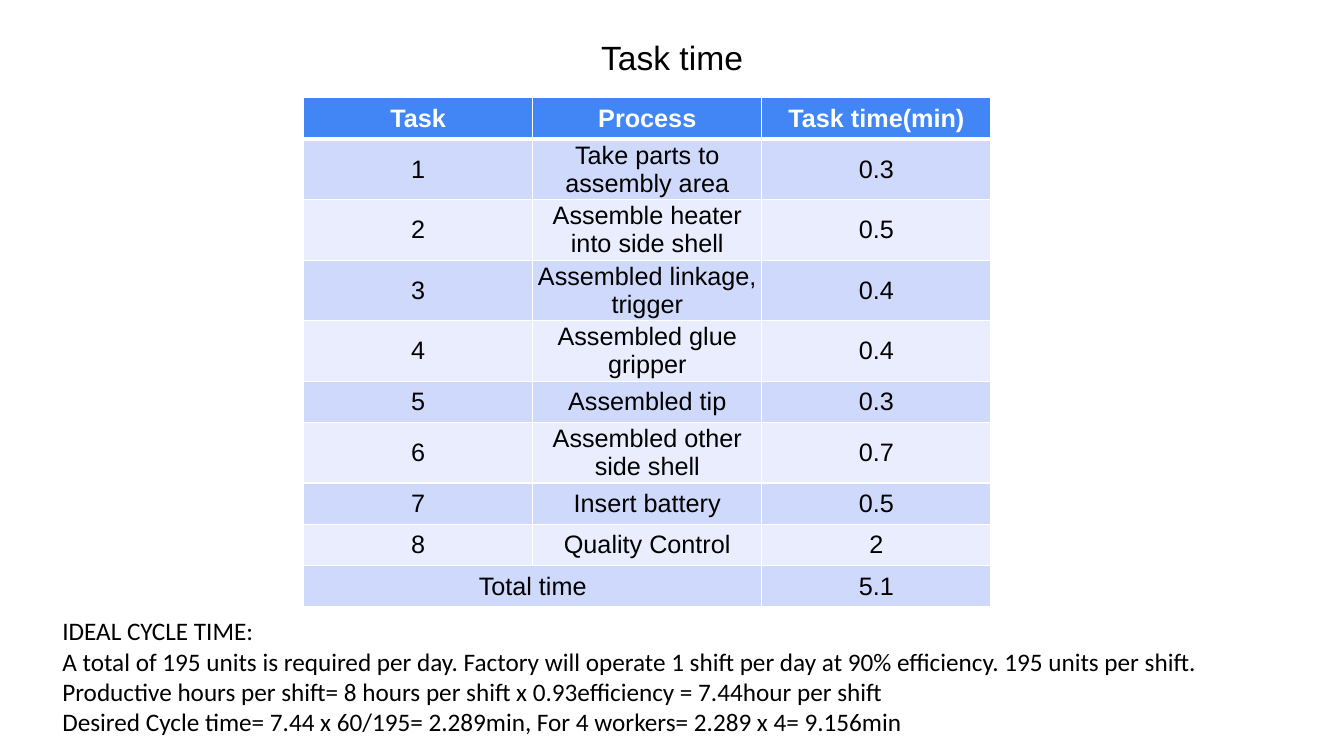
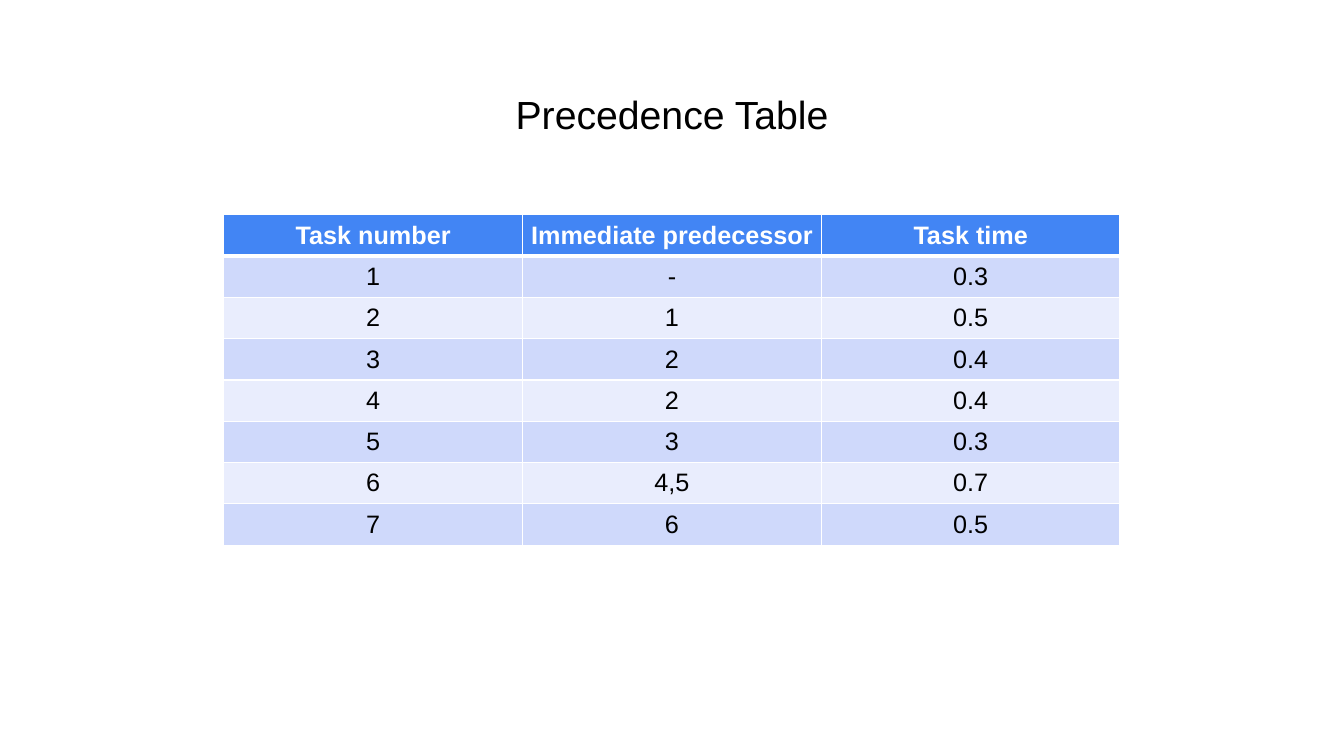
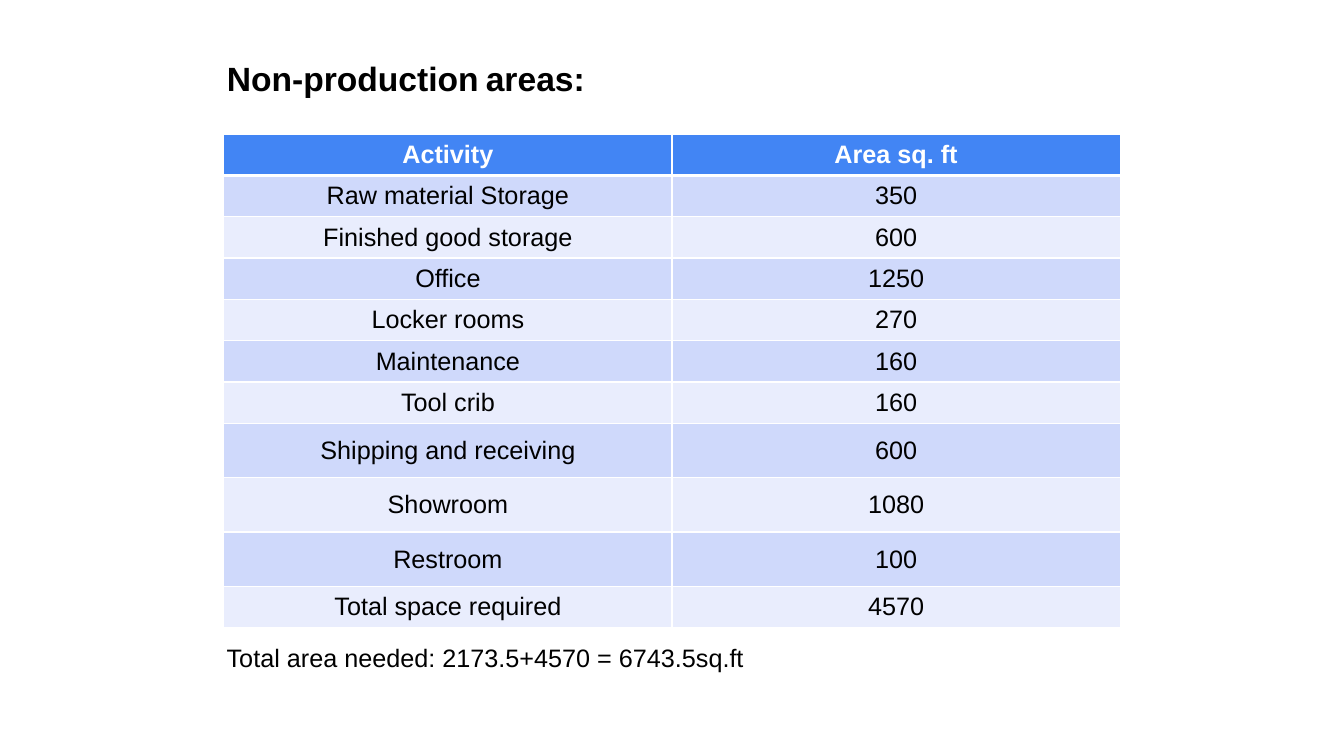
from dataclasses import dataclass

from lxml import etree
from pptx import Presentation
from pptx import dml, oxml, util as u
from pptx.dml.color import RGBColor
from pptx.enum import text

COLORS = {
    "header": "4285F4",
    "band_dark": "CFD9FB",
    "band_light": "E9EDFD",
    "white": "FFFFFF",
    "black": "000000",
}
SLIDE_WIDTH = 13.33
ROW_HEIGHT = 0.41
TITLE_ONLY_LAYOUT = 5
CENTER, LEFT = text.PP_ALIGN.CENTER, text.PP_ALIGN.LEFT


@dataclass(frozen=True)
class Run:
    content: str
    size: float = 18
    bold: bool = False
    color: str = "black"
    font: str = "Arial"


@dataclass(frozen=True)
class TextBlock:
    left: float
    top: float
    width: float
    height: float
    paragraphs: list[list[Run]]
    align: text.PP_ALIGN = LEFT


@dataclass(frozen=True)
class TableBlock:
    left: float
    top: float
    width: float
    rows: list[tuple[str, ...]]  # an empty string joins the cell to its left
    tall_rows: tuple[int, ...] = ()
    tall_height: float = 0.54


@dataclass(frozen=True)
class SlideContent:
    title: TextBlock
    table: TableBlock
    note: TextBlock | None = None


# Text
def write_paragraph(paragraph, runs: list[Run], align: text.PP_ALIGN) -> None:
    paragraph.alignment = align
    for item in runs:
        run = paragraph.add_run()
        run.text = item.content
        run.font.name = item.font
        run.font.size = u.Pt(item.size)
        run.font.bold = item.bold
        run.font.color.rgb = RGBColor.from_string(COLORS[item.color])


def fill_text(shape, block: TextBlock) -> None:
    shape.left, shape.top = u.Inches(block.left), u.Inches(block.top)
    shape.width, shape.height = u.Inches(block.width), u.Inches(block.height)
    frame = shape.text_frame
    frame.word_wrap = True
    frame.auto_size = text.MSO_AUTO_SIZE.SHAPE_TO_FIT_TEXT
    frame.vertical_anchor = text.MSO_ANCHOR.TOP
    for index, runs in enumerate(block.paragraphs):
        paragraph = frame.add_paragraph() if index else frame.paragraphs[0]
        write_paragraph(paragraph, runs, block.align)


# Tables
def set_borders(cell, top: float, bottom: float) -> None:
    properties = cell._tc.get_or_add_tcPr()
    for side, points in (("L", 1), ("R", 1), ("T", top), ("B", bottom)):
        line = etree.SubElement(properties, oxml.ns.qn(f"a:ln{side}"), w=str(u.Pt(points)))
        fill = etree.SubElement(line, oxml.ns.qn("a:solidFill"))
        etree.SubElement(fill, oxml.ns.qn("a:srgbClr"), val=COLORS["white"])


def format_cell(cell, row_index: int) -> None:
    set_borders(cell, top=3 if row_index == 1 else 1, bottom=3 if row_index == 0 else 1)
    band = "header" if row_index == 0 else "band_dark" if row_index % 2 else "band_light"
    cell.fill.solid()
    cell.fill.fore_color.rgb = RGBColor.from_string(COLORS[band])
    cell.vertical_anchor = text.MSO_ANCHOR.MIDDLE
    cell.margin_left = cell.margin_right = cell.margin_top = cell.margin_bottom = 0


def add_table(slide, block: TableBlock) -> None:
    column_count = len(block.rows[0])
    heights = [block.tall_height if index in block.tall_rows else ROW_HEIGHT
               for index in range(len(block.rows))]
    table = slide.shapes.add_table(
        len(block.rows), column_count, u.Inches(block.left), u.Inches(block.top),
        u.Inches(block.width), u.Inches(sum(heights))).table
    table.horz_banding = False
    for column in table.columns:
        column.width = u.Inches(block.width / column_count)
    for row_index, values in enumerate(block.rows):
        table.rows[row_index].height = u.Inches(heights[row_index])
        is_header = row_index == 0
        for column_index, value in enumerate(values):
            cell = table.cell(row_index, column_index)
            format_cell(cell, row_index)
            if value:
                run = Run(value, bold=is_header, color="white" if is_header else "black")
                write_paragraph(cell.text_frame.paragraphs[0], [run], CENTER)
            else:
                table.cell(row_index, column_index - 1).merge(cell)


# Slides
def add_slide(presentation, content: SlideContent) -> None:
    slide = presentation.slides.add_slide(presentation.slide_layouts[TITLE_ONLY_LAYOUT])
    fill_text(slide.shapes.title, content.title)
    add_table(slide, content.table)
    if content.note:
        fill_text(slide.shapes.add_textbox(0, 0, 0, 0), content.note)


TASK_TIME = SlideContent(
    title=TextBlock(0, 0.32, SLIDE_WIDTH, 0.5, [[Run("Task time", 24)]], CENTER),
    table=TableBlock(3.01, 0.97, 6.82, [
        ("Task", "Process", "Task time(min)"),
        ("1", "Take parts to assembly area", "0.3"),
        ("2", "Assemble heater into side shell", "0.5"),
        ("3", "Assembled linkage, trigger", "0.4"),
        ("4", "Assembled glue gripper", "0.4"),
        ("5", "Assembled tip", "0.3"),
        ("6", "Assembled other side shell", "0.7"),
        ("7", "Insert battery", "0.5"),
        ("8", "Quality Control", "2"),
        ("Total time", "", "5.1"),
    ]),
    note=TextBlock(0.52, 6.06, 12.31, 1.31, [[Run(line, font="Calibri")] for line in (
        "IDEAL CYCLE TIME:",
        "A total of 195 units is required per day. Factory will operate 1 shift per day "
        "at 90% efficiency. 195 units per shift.",
        "Productive hours per shift= 8 hours per shift x 0.93efficiency = 7.44hour per shift",
        "Desired Cycle time= 7.44 x 60/195= 2.289min, For 4 workers= 2.289 x 4= 9.156min",
    )]),
)

PRECEDENCE = SlideContent(
    title=TextBlock(0, 0.85, SLIDE_WIDTH, 0.57, [[Run("Precedence Table", 28)]], CENTER),
    table=TableBlock(2.22, 2.13, 8.89, [
        ("Task number", "Immediate predecessor", "Task time"),
        ("1", "-", "0.3"),
        ("2", "1", "0.5"),
        ("3", "2", "0.4"),
        ("4", "2", "0.4"),
        ("5", "3", "0.3"),
        ("6", "4,5", "0.7"),
        ("7", "6", "0.5"),
    ]),
)

NON_PRODUCTION = SlideContent(
    title=TextBlock(2.15, 0.52, 4.59, 0.5, [[
        Run("Non-production", 24, bold=True),
        Run(" ", bold=True),
        Run("areas:", 24, bold=True),
    ]]),
    table=TableBlock(2.22, 1.33, 8.89, [
        ("Activity", "Area sq. ft"),
        ("Raw material Storage", "350"),
        ("Finished good storage", "600"),
        ("Office", "1250"),
        ("Locker rooms", "270"),
        ("Maintenance", "160"),
        ("Tool crib", "160"),
        ("Shipping and receiving", "600"),
        ("Showroom", "1080"),
        ("Restroom", "100"),
        ("Total space required", "4570"),
    ], tall_rows=(7, 8, 9)),
    note=TextBlock(2.15, 6.32, 8.96, 0.4,
                   [[Run("Total area needed: 2173.5+4570 = 6743.5sq.ft")]]),
)


def main() -> None:
    presentation = Presentation()
    presentation.slide_width = u.Inches(SLIDE_WIDTH)
    presentation.slide_height = u.Inches(7.5)
    for content in (TASK_TIME, PRECEDENCE, NON_PRODUCTION):
        add_slide(presentation, content)
    presentation.save("out.pptx")


if __name__ == "__main__":
    main()
